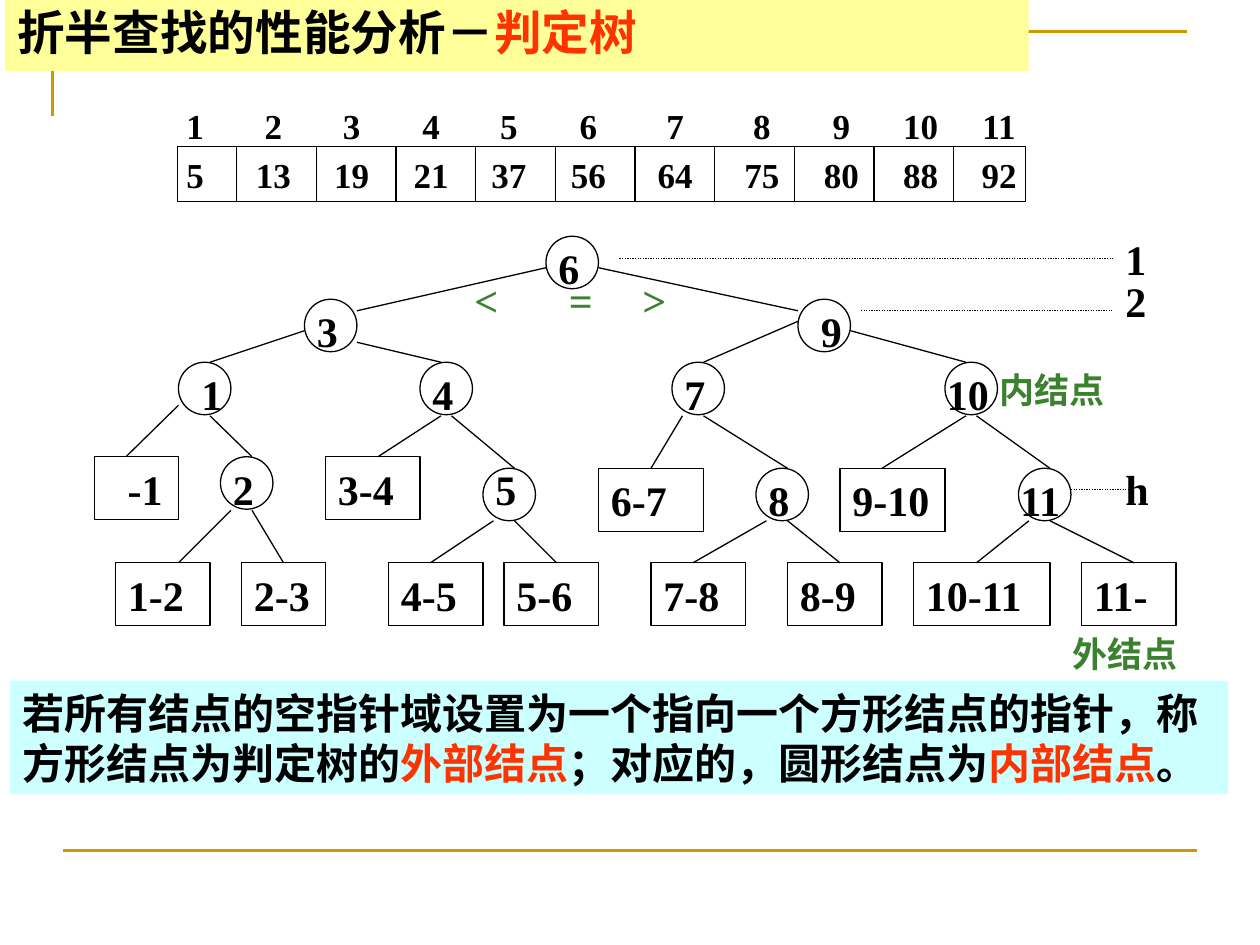
from lxml import etree
from pptx import Presentation
from pptx import util as u
from pptx.dml.color import RGBColor
from pptx.enum import dml, shapes, text
from pptx.oxml import ns

COLORS = {"ink": "000000", "gold": "CC9900", "green": "3B812F", "red": "FF3300",
          "yellow": "FFFF99", "cyan": "CCFFFF"}
SERIF, SANS = "Times New Roman", "Noto Sans CJK SC"
STEP = 2.54 / 12

deck = Presentation()
deck.slide_width, deck.slide_height = u.Cm(25.4), u.Cm(19.05)
page = deck.slides.add_slide(deck.slide_layouts[6])


def add_line(x1, y1, x2, y2, color="ink", width=0.75, dash=None):
    ends = [u.Cm(value) for value in (x1, y1, x2, y2)]
    line = page.shapes.add_connector(shapes.MSO_CONNECTOR.STRAIGHT, *ends)
    line.line.color.rgb = RGBColor.from_string(COLORS[color])
    line.line.width = u.Pt(width)
    line.line.dash_style = dash
    etree.SubElement(line._element.spPr, ns.qn("a:effectLst"))


def add_box(left, top, width, height, spans=(), size=24, font=SERIF, kind=None,
            fill=None, outline=None, frame={}):
    place = [u.Cm(value) for value in (left, top, width, height)]
    if kind is None:
        box = page.shapes.add_textbox(*place)
    else:
        box = page.shapes.add_shape(kind, *place)
        box.shadow.inherit = False
        box.fill.background()
        box.line.fill.background()
    if fill:
        box.fill.solid()
        box.fill.fore_color.rgb = RGBColor.from_string(COLORS[fill])
    if outline:
        box.line.color.rgb = RGBColor.from_string(COLORS[outline])
        box.line.width = u.Pt(0.75)
    settings = {"word_wrap": True, "vertical_anchor": text.MSO_ANCHOR.TOP,
                "margin_left": u.Cm(0.25), "margin_right": u.Cm(0.25),
                "margin_top": u.Cm(0.13), "margin_bottom": u.Cm(0.13)} | frame
    for name, value in settings.items():
        setattr(box.text_frame, name, value)
    para = box.text_frame.paragraphs[0]
    para.alignment = text.PP_ALIGN.LEFT
    for words, color in spans:
        span = para.add_run()
        span.text = words
        for name, value in {"name": font, "size": u.Pt(size), "bold": True}.items():
            setattr(span.font, name, value)
        span.font.color.rgb = RGBColor.from_string(COLORS[color])
        etree.SubElement(span._r.rPr, ns.qn("a:ea"), typeface=SANS)
    return para


RECT, OVAL = shapes.MSO_SHAPE.RECTANGLE, shapes.MSO_SHAPE.OVAL

builder = page.shapes.build_freeform(u.Cm(1.06), u.Cm(2.33))
builder.add_line_segments([(u.Cm(1.06), u.Cm(0.64)), (u.Cm(23.92), u.Cm(0.64))], close=False)
corner = builder.convert_to_shape()
corner.shadow.inherit = False
corner.fill.background()
corner.line.color.rgb = RGBColor.from_string(COLORS["gold"])
corner.line.width = u.Pt(1.5)
add_line(1.27, 17.15, 24.13, 17.15, "gold", 1.5)

circles = [("6", 52, 22.5, 0, 0, 6), ("3", 29, 28.5, 0, 0, 6), ("9", 76, 28.5, 1, 0, 8),
           ("1", 17, 34.5, 1, 0, 7), ("4", 40, 34.5, 0, 0, 6), ("7", 64, 34.5, 0, 0, 6),
           ("10", 90, 34.5, -1, 0, 8), ("2", 21, 43.5, 0, 0, 5), ("5", 46, 44.6, 0, -1.1, 7),
           ("8", 72, 44.6, 0, 0, 7), ("11", 97, 44.6, -1, 0, 7)]
for label, x, y, dx, dy, width in circles:
    add_box(x * STEP, y * STEP, 5 * STEP, 5 * STEP, kind=OVAL, outline="ink")
    add_box((x + dx) * STEP, (y + dy) * STEP, width * STEP, 6 * STEP, [(label, "ink")])

leaves = [("-1", 9, 43.5, 8), ("3-4", 31, 43.5, 9), ("6-7", 57, 44.6, 10), ("9-10", 80, 44.6, 10),
          ("1-2", 11, 53.6, 9), ("2-3", 23, 53.6, 8), ("4-5", 37, 53.6, 9), ("5-6", 48, 53.6, 9),
          ("7-8", 62, 53.6, 9), ("8-9", 75, 53.6, 9), ("10-11", 87, 53.6, 13), ("11-", 103, 53.6, 9)]
for label, x, y, width in leaves:
    frame = {"margin_left": u.Cm(0.67)} if label == "-1" else {}
    add_box(x * STEP, y * STEP, width * STEP, 6 * STEP, [(label, "ink")],
            kind=RECT, outline="ink", frame=frame)

branches = {(25.5, 29.6): [(52, 34), (57, 76)],
            (31.5, 34.5): [(29, 20), (81, 92)],
            (32.6, 34.5): [(34, 42)],
            (30.6, 34.5): [(76, 67)],
            (38.6, 43.5): [(17, 12)],
            (39.6, 43.5): [(20, 24), (42, 36)],
            (39.6, 44.6): [(43, 49), (65, 62), (67, 75), (92, 84), (93, 100)],
            (48.6, 53.6): [(22, 17), (24, 27)],
            (49.6, 53.6): [(47, 41), (49, 53), (73, 66), (75, 80), (98, 93), (100, 108)]}
for (top, bottom), pairs in branches.items():
    for start, end in pairs:
        add_line(start * STEP, top * STEP, end * STEP, bottom * STEP)

levels = [("1", 59, 106, 24.6, 21.6), ("2", 82, 106, 29.6, 25.6), ("h", 102, 108, 46.6, 43.5)]
for label, start, end, y, top in levels:
    add_line(start * STEP, y * STEP, end * STEP, y * STEP, dash=dml.MSO_LINE.ROUND_DOT)
    add_box(106 * STEP, top * STEP, 6 * STEP, 6 * STEP, [(label, "ink")])

notes = [("外结点", 101, 59.6, 13, 20), ("内结点", 94, 34.5, 13, 20),
         (">", 60, 25.5, 9, 24), ("<", 44, 25.5, 6, 24), ("=", 53, 25.5, 7, 24)]
for label, x, y, width, size in notes:
    add_box(x * STEP, y * STEP, width * STEP, size / 4 * STEP, [(label, "green")], size)

title = add_box(0.1, 0, 20.64, 1.43, [("折半查找的性能分析－", "ink"), ("判定树", "red")], 27.2, SANS,
                kind=RECT, fill="yellow", frame={"vertical_anchor": text.MSO_ANCHOR.MIDDLE})
title.line_spacing = 0.9

keys = [5, 13, 19, 21, 37, 56, 64, 75, 80, 88, 92]
centres = [1.75, 3.33, 4.93, 6.5, 8.1, 9.85, 11.6, 13.2, 14.8, 16.38]
middle = {"margin_right": 0, "vertical_anchor": text.MSO_ANCHOR.MIDDLE}
rows = [add_box(3.51, 1.98, 17.3, 1.12, [("\t".join(map(str, range(1, 12))), "ink")], 20,
                frame=middle),
        add_box(3.58, 2.95, 17.09, 1.12, [("\t".join(map(str, keys)), "ink")], 20,
                kind=RECT, outline="ink", frame=middle | {"margin_left": u.Cm(0.18)})]
for para in rows:
    stops = etree.SubElement(para._p.get_or_add_pPr(), ns.qn("a:tabLst"))
    for centre in centres:
        etree.SubElement(stops, ns.qn("a:tab"), pos=str(u.Cm(centre)), algn="ctr")
for index in range(10):
    x = 4.77 + index * 1.606
    add_line(x, 2.95, x, 4.07)

add_box(0.2, 13.72, 24.56, 2.29,
        [("若所有结点的空指针域设置为一个指向一个方形结点的指针，称方形结点为判定树的", "ink"),
         ("外部结点", "red"), ("；对应的，圆形结点为", "ink"), ("内部结点", "red"), ("。", "ink")],
        24, SANS, kind=RECT, fill="cyan")

deck.save("out.pptx")
